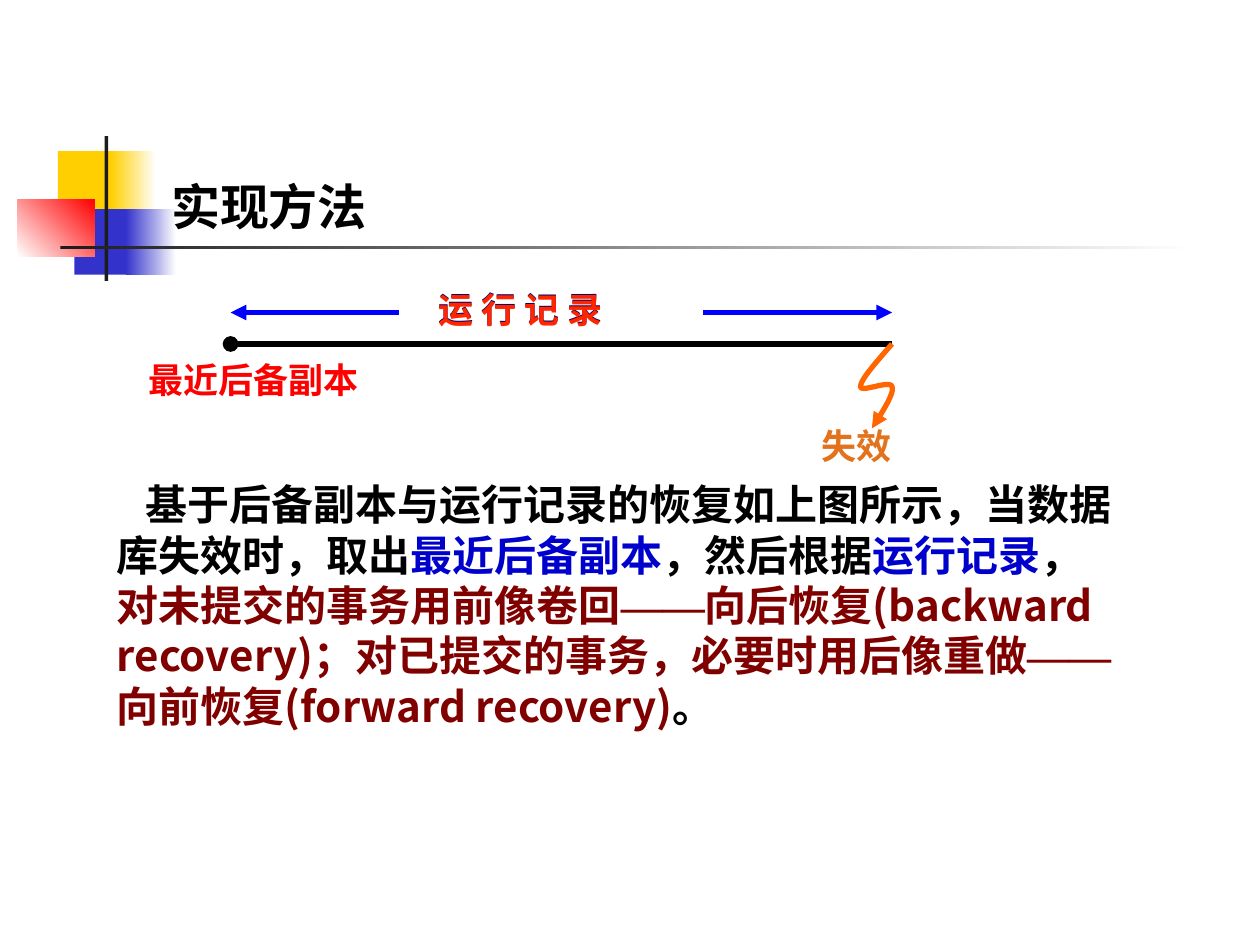
from dataclasses import dataclass
from typing import Optional

from lxml import etree
from pptx import Presentation
from pptx import util as u
from pptx.dml.color import RGBColor
from pptx.enum import shapes, text
from pptx.oxml import ns

YELLOW = RGBColor(0xFF, 0xCF, 0x01)
INDIGO = RGBColor(0x33, 0x33, 0xCC)
RED = RGBColor(0xFF, 0, 0)
CHARCOAL = RGBColor(0x1C, 0x1C, 0x1C)
WHITE = RGBColor(0xFF, 0xFF, 0xFF)
BLACK = RGBColor(0, 0, 0)
BLUE = RGBColor(0, 0, 0xFF)
ORANGE = RGBColor(0xFF, 0x66, 0)
AMBER = RGBColor(0xE3, 0x72, 0x1D)
NAVY = RGBColor(0, 0, 0x66)
VERMILION = RGBColor(0xFF, 0x25, 0x01)
ROYAL = RGBColor(0, 0, 0xCC)
MAROON = RGBColor(0x80, 0, 0)

SANS = "Noto Sans CJK SC"
SERIF = "Times New Roman"


@dataclass(frozen=True)
class Block:
    left: float
    top: float
    width: float
    height: float
    start: RGBColor
    end: Optional[RGBColor] = None
    angle: float = 0


@dataclass(frozen=True)
class Axis:
    left: float
    right: float
    top: float
    color: RGBColor
    end: str
    arrow: str


@dataclass(frozen=True)
class Span:
    words: str
    color: RGBColor
    latin: str = SANS
    asian: str = SANS


@dataclass(frozen=True)
class Label:
    left: float
    top: float
    width: float
    height: float
    size: int
    spans: tuple[Span, ...]
    indent: float = 0
    anchor: text.MSO_ANCHOR = text.MSO_ANCHOR.TOP


BLOCKS = (
    Block(0.46, 1.2, 0.48, 0.52, YELLOW),
    Block(0.88, 1.2, 0.36, 0.52, YELLOW, WHITE),
    Block(0.59, 1.66, 0.46, 0.52, INDIGO),
    Block(1, 1.66, 0.4, 0.52, INDIGO, WHITE),
    Block(0.14, 1.58, 0.61, 0.46, WHITE, RED, 45),
    Block(0.83, 1.08, 0.03, 1.15, CHARCOAL),
    Block(0.48, 1.95, 9, 0.03, CHARCOAL, WHITE),
)
AXES = (
    Axis(1.83, 7.08, 2.73, BLACK, "headEnd", "oval"),
    Axis(1.83, 3.17, 2.48, BLUE, "headEnd", "triangle"),
    Axis(5.58, 7.08, 2.48, BLUE, "tailEnd", "triangle"),
)
FAILURE_CURVE = (
    ((7.08, 2.73), (6.96, 2.87), (6.83, 3.01), (6.83, 3.07)),
    ((6.83, 3.07), (6.83, 3.12), (7.07, 3.01), (7.08, 3.07)),
    ((7.08, 3.07), (7.1, 3.12), (7.01, 3.26), (6.92, 3.4)),
)
BODY = (
    Span("基于后备副本与运行记录的恢复如上图所示，当数据库失效时，取出", BLACK),
    Span("最近后备副本", ROYAL),
    Span("，然后根据", BLACK),
    Span("运行记录", ROYAL),
    Span("，", BLACK),
    Span("对未提交的事务用前像卷回", MAROON),
    Span("——", MAROON, SERIF, SERIF),
    Span("向后恢复(backward recovery)；对已提交的事务，必要时用后像重做", MAROON),
    Span("——", MAROON, SERIF, SERIF),
    Span("向前恢复(forward recovery)", MAROON),
    Span("。", BLACK),
)
LABELS = (
    Label(1.26, 0.67, 8.52, 1.25, 28, (Span("实现方法", BLACK, "Lato"),),
          anchor=text.MSO_ANCHOR.BOTTOM),
    Label(3.25, 2.23, 2.08, 0.44, 20, (Span("运 行 记 录", NAVY),), 0.13),
    Label(6.42, 3.32, 0.92, 0.44, 20, (Span("失效", AMBER),)),
    Label(1.08, 2.8, 1.92, 0.44, 20, (Span("最近后备副本", RED),)),
    Label(3.25, 2.24, 2.08, 0.44, 20, (Span("运 行 记 录", VERMILION),), 0.13),
    Label(0.83, 3.75, 8.17, 2.1, 24, BODY, 0.23),
)


def draw_block(page, block: Block) -> None:
    """Draw a borderless rectangle with a solid or gradient fill."""
    shape = page.shapes.add_shape(
        shapes.MSO_SHAPE.RECTANGLE, u.Inches(block.left), u.Inches(block.top),
        u.Inches(block.width), u.Inches(block.height))
    shape.shadow.inherit = False
    shape.line.fill.background()
    if block.end is None:
        shape.fill.solid()
        shape.fill.fore_color.rgb = block.start
        return
    shape.fill.gradient()
    shape.fill.gradient_angle = block.angle
    for stop, color in zip(shape.fill.gradient_stops, (block.start, block.end)):
        stop.color.rgb = color


def style_line(shape, color: RGBColor, end: str, arrow: str) -> None:
    """Give a line its colour, width and end marker."""
    shape.line.color.rgb = color
    shape.line.width = u.Pt(3)
    etree.SubElement(shape.line._get_or_add_ln(), ns.qn(f"a:{end}"), type=arrow)


def draw_axis(page, axis: Axis) -> None:
    """Draw a horizontal line with one end marker."""
    top = u.Inches(axis.top)
    line = page.shapes.add_connector(
        shapes.MSO_CONNECTOR.STRAIGHT, u.Inches(axis.left), top, u.Inches(axis.right), top)
    style_line(line, axis.color, axis.end, axis.arrow)
    etree.SubElement(line._element.spPr, ns.qn("a:effectLst"))


def bezier_point(curve, t: float) -> tuple[float, float]:
    """Return the point at t on a cubic curve."""
    weights = ((1 - t) ** 3, 3 * t * (1 - t) ** 2, 3 * t ** 2 * (1 - t), t ** 3)
    x, y = (sum(w * point[i] for w, point in zip(weights, curve)) for i in (0, 1))
    return u.Inches(x), u.Inches(y)


def draw_failure(page, steps: int = 16) -> None:
    """Draw the curved arrow that marks the failure."""
    points = [bezier_point(curve, step / steps)
              for curve in FAILURE_CURVE for step in range(1, steps + 1)]
    builder = page.shapes.build_freeform(*bezier_point(FAILURE_CURVE[0], 0))
    builder.add_line_segments(points, close=False)
    shape = builder.convert_to_shape()
    shape.shadow.inherit = False
    shape.fill.background()
    style_line(shape, ORANGE, "tailEnd", "triangle")


def draw_label(page, label: Label) -> None:
    """Draw a text box holding one paragraph of coloured spans."""
    box = page.shapes.add_textbox(
        u.Inches(label.left), u.Inches(label.top),
        u.Inches(label.width), u.Inches(label.height))
    frame = box.text_frame
    frame.word_wrap = True
    frame.vertical_anchor = label.anchor
    para = frame.paragraphs[0]
    para._p.get_or_add_pPr().set("indent", str(u.Inches(label.indent)))
    for span in label.spans:
        run = para.add_run()
        run.text = span.words
        run.font.size = u.Pt(label.size)
        run.font.bold = True
        run.font.color.rgb = span.color
        run.font.name = span.latin
        etree.SubElement(run.font._element, ns.qn("a:ea"), typeface=span.asian)


def main() -> None:
    """Build the recovery method slide."""
    deck = Presentation()
    deck.slide_width, deck.slide_height = u.Inches(10), u.Inches(7.5)
    page = deck.slides.add_slide(deck.slide_layouts[6])
    for block in BLOCKS:
        draw_block(page, block)
    for axis in AXES:
        draw_axis(page, axis)
    draw_failure(page)
    for label in LABELS:
        draw_label(page, label)
    deck.save("out.pptx")


if __name__ == "__main__":
    main()
